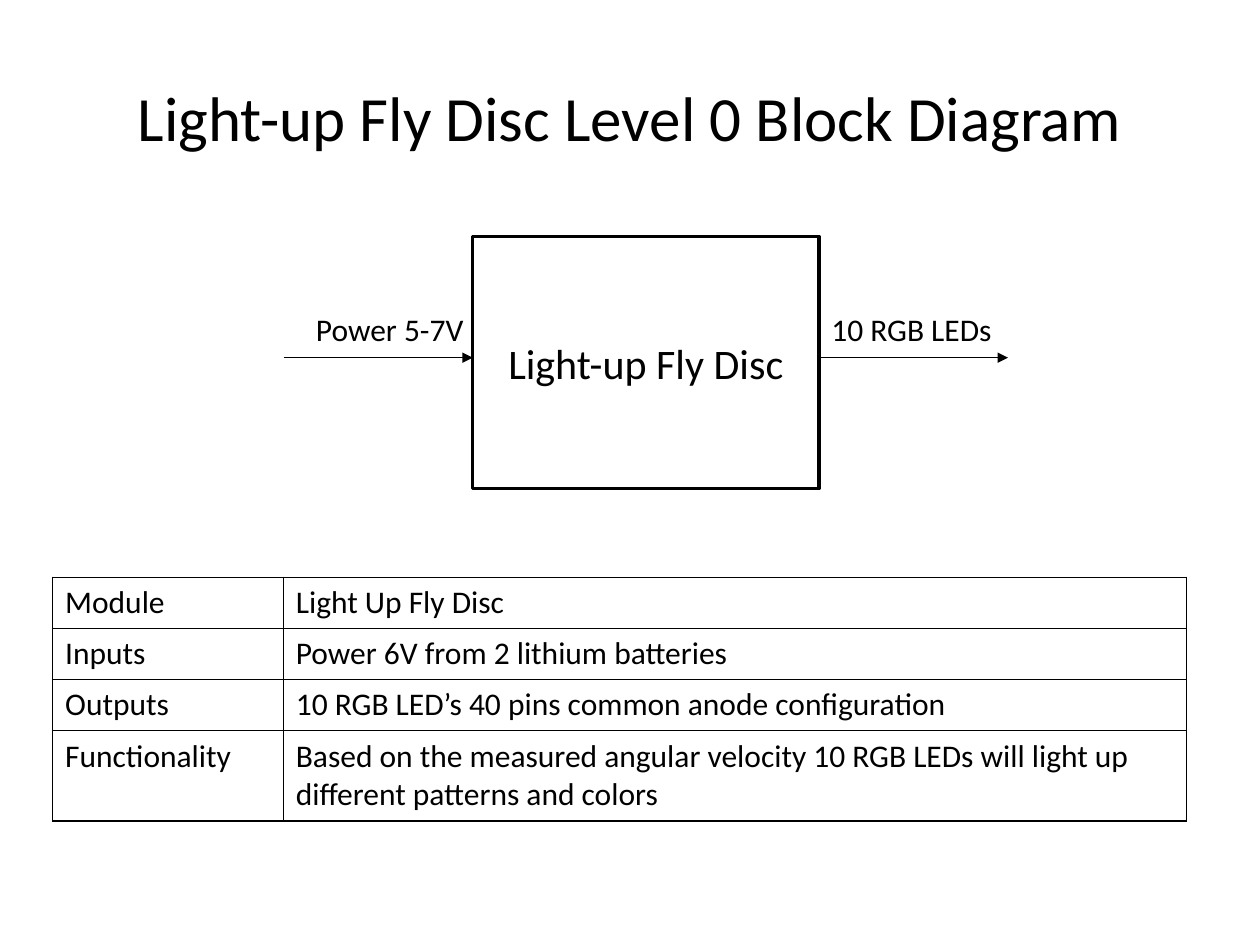
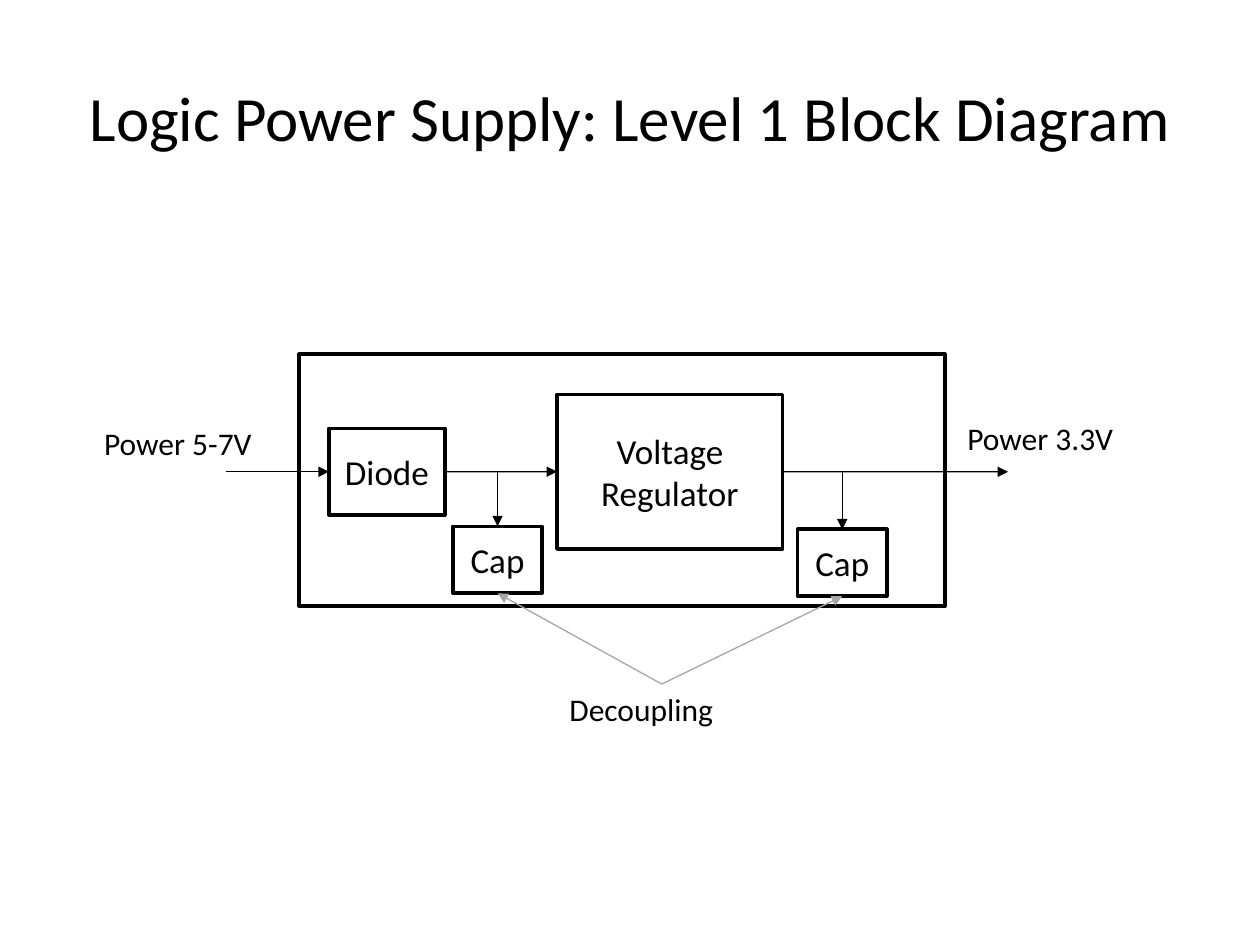
from lxml import etree
from pptx import Presentation
from pptx.dml.color import RGBColor
from pptx.enum.shapes import MSO_CONNECTOR, MSO_SHAPE
from pptx.enum.text import MSO_ANCHOR, MSO_AUTO_SIZE, PP_ALIGN
from pptx.oxml.ns import qn
from pptx.util import Cm, Pt

# Shared style
FONT = "Calibri"
BLACK = RGBColor(0x00, 0x00, 0x00)
WHITE = RGBColor(0xFF, 0xFF, 0xFF)
GREY = RGBColor(0xA6, 0xA6, 0xA6)
TITLE_SIZE, LABEL_SIZE = 36, 18
LABEL_HEIGHT = 1.02
BLANK_LAYOUT = 6

RECTANGLE = MSO_SHAPE.RECTANGLE
STRAIGHT = MSO_CONNECTOR.STRAIGHT
MIDDLE = MSO_ANCHOR.MIDDLE
LEFT_ALIGNED, CENTERED = PP_ALIGN.LEFT, PP_ALIGN.CENTER
GROW = MSO_AUTO_SIZE.SHAPE_TO_FIT_TEXT
TOP, LEFT, BOTTOM, RIGHT = range(4)  # connection sites of a rectangle


def write(text_frame, text, size, alignment=LEFT_ALIGNED):
    paragraph = text_frame.paragraphs[0]
    paragraph.alignment = alignment
    run = paragraph.add_run()
    run.text = text
    run.font.name = FONT
    run.font.size = Pt(size)
    run.font.color.rgb = BLACK


def add_title(slide, text, left, width):
    shape = slide.shapes.add_textbox(Cm(left), Cm(0.76), Cm(width), Cm(3.18))
    shape.text_frame.word_wrap = True
    shape.text_frame.vertical_anchor = MIDDLE
    write(shape.text_frame, text, TITLE_SIZE, CENTERED)


def add_label(slide, text, left, top, width, wrap=True):
    shape = slide.shapes.add_textbox(Cm(left), Cm(top), Cm(width), Cm(LABEL_HEIGHT))
    shape.text_frame.word_wrap = wrap
    shape.text_frame.auto_size = GROW
    write(shape.text_frame, text, LABEL_SIZE)


def add_block(slide, left, top, width, height, text=None, size=20):
    shape = slide.shapes.add_shape(RECTANGLE, Cm(left), Cm(top), Cm(width), Cm(height))
    shape.shadow.inherit = False
    shape.fill.solid()
    shape.fill.fore_color.rgb = WHITE
    shape.line.color.rgb = BLACK
    shape.line.width = Pt(2)
    shape.text_frame.vertical_anchor = MIDDLE
    if text:
        write(shape.text_frame, text, size, CENTERED)
    return shape


def add_arrow(slide, start, end, color=BLACK, from_site=None, to_site=None):
    """Draw an arrow between points in cm; a site is a (shape, side) to join."""
    arrow = slide.shapes.add_connector(STRAIGHT, *map(Cm, start + end))
    if from_site:
        arrow.begin_connect(*from_site)
    if to_site:
        arrow.end_connect(*to_site)
    arrow.line.color.rgb = color
    arrow.line.width = Pt(0.75)
    etree.SubElement(arrow.line._get_or_add_ln(), qn("a:tailEnd"), type="triangle")
    etree.SubElement(arrow._element.spPr, qn("a:effectLst"))


def add_cell_borders(cell):
    properties = cell._tc.get_or_add_tcPr()
    for index, side in enumerate(("lnL", "lnR", "lnT", "lnB")):
        line = etree.Element(qn(f"a:{side}"), w=str(Pt(1)))
        fill = etree.SubElement(line, qn("a:solidFill"))
        etree.SubElement(fill, qn("a:srgbClr"), val=str(BLACK))
        properties.insert(index, line)


def add_module_table(slide, rows, left, top, column_widths, row_heights):
    frame = slide.shapes.add_table(
        len(rows), len(column_widths), Cm(left), Cm(top),
        Cm(sum(column_widths)), Cm(sum(row_heights)))
    table = frame.table
    table.first_row = table.horz_banding = False
    for column, width in zip(table.columns, column_widths):
        column.width = Cm(width)
    for row, height, texts in zip(table.rows, row_heights, rows):
        row.height = Cm(height)
        for cell, text in zip(row.cells, texts):
            cell.fill.solid()
            cell.fill.fore_color.rgb = WHITE
            add_cell_borders(cell)
            write(cell.text_frame, text, LABEL_SIZE)


def build_disc_slide(slide):
    add_title(slide, "Light-up Fly Disc Level 0 Block Diagram", 1.27, 22.86)
    add_module_table(slide, [
        ("Module", "Light Up Fly Disc"),
        ("Inputs", "Power 6V from 2 lithium batteries"),
        ("Outputs", "10 RGB LED’s 40 pins common anode configuration"),
        ("Functionality", "Based on the measured angular velocity 10 RGB LEDs "
                          "will light up different patterns and colors"),
    ], 1.06, 11.64, (4.65, 18.21), (1.03, 1.03, 1.03, 1.82))

    # Block with its input and output, which run just above its middle
    left, width, signal_y, reach = 9.53, 6.98, 7.21, 3.81
    right = left + width
    add_block(slide, left, 4.77, width, 5.08, "Light-up Fly Disc", 24)
    add_arrow(slide, (left - reach, signal_y), (left, signal_y))
    add_arrow(slide, (right, signal_y), (right + reach, signal_y))
    add_label(slide, "Power 5-7V", 6.12, 6.12, 3.53, wrap=False)
    add_label(slide, "10 RGB LEDs", right, 6.12, 4.24)


def build_power_slide(slide):
    add_title(slide, "Logic Power Supply: Level 1 Block Diagram", 0, 25.4)

    # Supply frame, and the blocks centred on the power rail
    rail_y = 9.51
    add_block(slide, 6.03, 7.14, 13.02, 5.08)
    diode, regulator = [
        add_block(slide, left, rail_y - height / 2, width, height, text)
        for text, left, width, height in (
            ("Diode", 6.63, 2.34, 1.75),
            ("Voltage Regulator", 11.23, 4.55, 3.12))]

    # Power rail
    add_arrow(slide, (4.55, rail_y), (6.63, rail_y), to_site=(diode, LEFT))
    add_arrow(slide, (8.97, rail_y), (11.23, rail_y),
              from_site=(diode, RIGHT), to_site=(regulator, LEFT))
    add_arrow(slide, (15.78, rail_y), (20.32, rail_y), from_site=(regulator, RIGHT))

    # Decoupling capacitors
    cap_width, cap_height = 1.8, 1.35
    note_point = (13.34, 13.79)
    for left, top in ((9.13, 10.61), (16.08, 10.67)):
        cap = add_block(slide, left, top, cap_width, cap_height, "Cap")
        center = left + cap_width / 2
        add_arrow(slide, (center, rail_y), (center, top), to_site=(cap, TOP))
        add_arrow(slide, note_point, (center, top + cap_height), GREY,
                  to_site=(cap, BOTTOM))

    # Labels
    add_label(slide, "Power 5-7V", 1.85, 8.43, 3.53, wrap=False)
    add_label(slide, "Power 3.3V", 19.25, 8.33, 4.24)
    add_label(slide, "Decoupling", 11.23, 13.79, 4.24)


def main():
    presentation = Presentation()
    presentation.slide_width = Cm(25.4)
    presentation.slide_height = Cm(19.05)
    for build in (build_disc_slide, build_power_slide):
        build(presentation.slides.add_slide(presentation.slide_layouts[BLANK_LAYOUT]))
    presentation.save("out.pptx")


if __name__ == "__main__":
    main()
